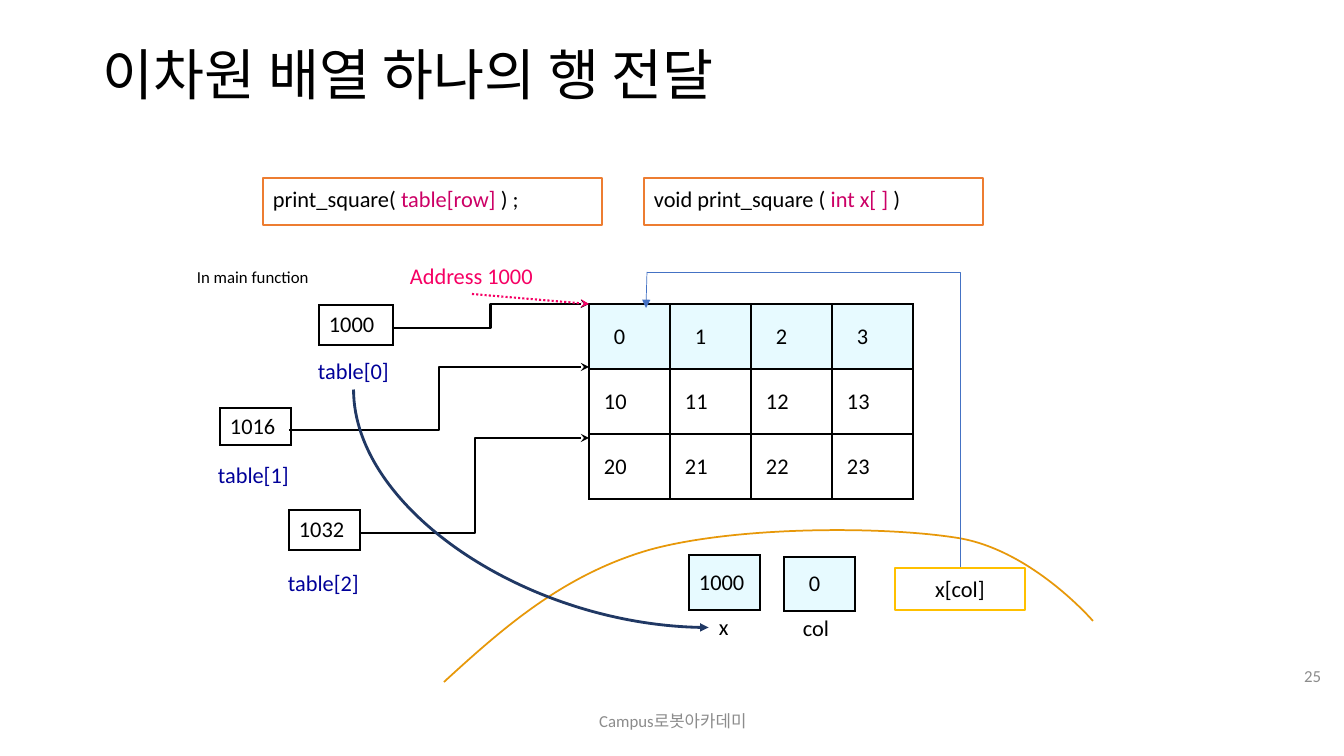
from lxml import etree
from pptx import Presentation
from pptx import util as u
from pptx.dml.color import RGBColor
from pptx.enum import dml, shapes, text
from pptx.oxml import parse_xml
from pptx.oxml.ns import nsdecls, qn

PX = 914400 / 100.8
FONT = "Calibri"
BLACK, WHITE, GREY, NAVY = "000000", "FFFFFF", "8C8C8C", "000099"
MAGENTA, PINK, PALE, BLUE = "CC0066", "F60064", "E7FAFF", "4472C4"
LEFT, CENTER, RIGHT = text.PP_ALIGN.LEFT, text.PP_ALIGN.CENTER, text.PP_ALIGN.RIGHT
TOP, MIDDLE = text.MSO_ANCHOR.TOP, text.MSO_ANCHOR.MIDDLE

# text, (left, top, width, height), size, colour, alignment, anchor, wrap
LABELS = [
    ("이차원 배열 하나의 행 전달", (93, 40, 1159, 76), 39.6, BLACK, LEFT, MIDDLE, True),
    ("Campus로봇아카데미", (446, 701, 454, 40), 12, GREY, CENTER, MIDDLE, True),
    ("25", (1269, 656, 62, 40), 12, GREY, RIGHT, MIDDLE, True),
    ("In main function", (187, 262, 193, 30), 12, BLACK, LEFT, TOP, True),
    ("Address 1000", (400, 257, 144, 37), 16, PINK, LEFT, TOP, False),
    ("table[0]", (308, 352, 91, 37), 16, NAVY, LEFT, TOP, False),
    ("table[1]", (208, 456, 91, 37), 16, NAVY, LEFT, TOP, False),
    ("table[2]", (278, 564, 91, 37), 16, NAVY, LEFT, TOP, False),
    ("x", (709, 608, 32, 37), 16, BLACK, LEFT, TOP, True),
    ("col", (793, 609, 46, 37), 16, BLACK, LEFT, TOP, False),
]
# runs, (left, top, width, height), outline, alignment, line spacing
CODE_BOXES = [
    ([("print_square( ", BLACK), ("table[row] ", MAGENTA), (") ;", BLACK)],
     (263, 178, 339, 47), "ED7D31", LEFT, 0.8),
    ([("void print_square ( ", BLACK), ("int x[ ] ", MAGENTA), (")", BLACK)],
     (644, 178, 339, 47), "ED7D31", LEFT, 0.8),
    ([("x[col]", BLACK)], (895, 568, 130, 42), "FFC000", CENTER, 1),
]
ARRAY_ROWS = [[0, 1, 2, 3], [10, 11, 12, 13], [20, 21, 22, 23]]
ARRAY_LEFT, ARRAY_TOP, CELL_WIDTH, CELL_HEIGHT = 589, 304, 81, 65
# value, (left, top, width, height), fill, left margin
MEMORY_CELLS = [
    (1000, (319, 305, 74, 40), None, 10),
    (1016, (220, 408, 71, 37), None, 10),
    (1032, (289, 510, 71, 40), None, 10),
    (1000, (689, 555, 71, 55), PALE, 10),
    (0, (784, 557, 71, 54), PALE, 25),
]
# preset, begin, end, rotation in degrees, colour, width, arrowhead
CONNECTORS = [
    ("bentConnector3", (392, 328), (589, 304), 0, BLACK, 1.5, "stealth"),
    ("bentConnector3", (289, 430), (589, 367), 0, BLACK, 1.5, "stealth"),
    ("bentConnector3", (361, 533), (589, 438), 0, BLACK, 1.5, "stealth"),
    ("line", (472, 294), (589, 304), 0, PINK, 1.5, "stealth"),
    ("curvedConnector2", (650, 331), (412, 686), 270, "203864", 2, "triangle"),
    ("bentConnector2", (656, 577), (951, 263), 270, BLUE, 0.5, None),
    ("line", (647, 272), (646, 308), 0, BLUE, 0.5, "triangle"),
]
ARC_START = (444, 682)
ARC_CURVES = [
    [(503, 628), (563, 575), (649, 550)],
    [(735, 526), (884, 526), (958, 538)],
    [(1032, 550), (1093, 621), (1093, 621)],
]


def px(*lengths):
    return [u.Emu(round(length * PX)) for length in lengths]


def color(value):
    return RGBColor.from_string(value)


def write(frame, runs, size, align=LEFT, anchor=MIDDLE, wrap=True, spacing=1):
    frame.word_wrap = wrap
    frame.vertical_anchor = anchor
    paragraph = frame.paragraphs[0]
    paragraph.alignment = align
    paragraph.line_spacing = spacing
    for words, shade in runs:
        run = paragraph.add_run()
        run.text = words
        run.font.size = u.Pt(size)
        run.font.name = FONT
        run.font.color.rgb = color(shade)


def draw_row(slide, values, box, fill, margin):
    """Draw a one-row table with a black border round every cell."""
    table = slide.shapes.add_table(1, len(values), *px(*box)).table
    table.first_row = table.horz_banding = False
    for column, value in enumerate(values):
        cell = table.cell(0, column)
        write(cell.text_frame, [(str(value), BLACK)], 16)
        cell.vertical_anchor = MIDDLE
        cell.margin_left, cell.margin_right = px(margin, 5)
        if fill:
            cell.fill.solid()
            cell.fill.fore_color.rgb = color(fill)
        else:
            cell.fill.background()
        for place, side in enumerate("LRTB"):
            border = parse_xml(
                f'<a:ln{side} {nsdecls("a")} w="12700"><a:solidFill>'
                f'<a:srgbClr val="{BLACK}"/></a:solidFill></a:ln{side}>')
            cell._tc.get_or_add_tcPr().insert(place, border)


def draw_arc(slide):
    points = [point for curve in ARC_CURVES for point in curve]
    builder = slide.shapes.build_freeform(*ARC_START, scale=PX)
    builder.add_line_segments(points, close=False)
    arc = builder.convert_to_shape()
    arc.shadow.inherit = False
    arc.fill.background()
    arc.line.color.rgb = color("E79809")
    arc.line.width = u.Pt(1.25)
    # Each three straight segments become one Bezier curve.
    outline = next(arc._element.iter(qn("a:path")))
    segments = outline.findall(qn("a:lnTo"))
    for first in range(0, len(segments), 3):
        curve = etree.SubElement(outline, qn("a:cubicBezTo"))
        for segment in segments[first:first + 3]:
            curve.append(segment[0])
            outline.remove(segment)


def draw_connector(slide, preset, begin, end, rotation, shade, width, head):
    connector = slide.shapes.add_connector(
        shapes.MSO_CONNECTOR.STRAIGHT, *px(*begin, *end))
    connector.line.color.rgb = color(shade)
    connector.line.width = u.Pt(width)
    if shade == PINK:
        connector.line.dash_style = dml.MSO_LINE.ROUND_DOT
    properties = connector._element.spPr
    properties.find(qn("a:prstGeom")).set("prst", preset)
    if rotation:
        properties.find(qn("a:xfrm")).set("rot", str(rotation * 60000))
    if head:
        etree.SubElement(properties.find(qn("a:ln")), qn("a:tailEnd"), type=head)
    etree.SubElement(properties, qn("a:effectLst"))


def main():
    deck = Presentation()
    deck.slide_width, deck.slide_height = px(1344, 756)
    slide = deck.slides.add_slide(deck.slide_layouts[6])

    for words, box, size, shade, align, anchor, wrap in LABELS:
        label = slide.shapes.add_textbox(*px(*box))
        spacing = 0.9 if size > 16 else 1
        write(label.text_frame, [(words, shade)], size, align, anchor, wrap, spacing)

    for index, values in enumerate(ARRAY_ROWS):
        box = (ARRAY_LEFT, ARRAY_TOP + index * CELL_HEIGHT,
               CELL_WIDTH * len(values), CELL_HEIGHT)
        draw_row(slide, values, box, None if index else PALE, 15 if index else 25)
    for value, box, fill, margin in MEMORY_CELLS:
        draw_row(slide, [value], box, fill, margin)

    draw_arc(slide)
    for runs, box, outline, align, spacing in CODE_BOXES:
        code = slide.shapes.add_shape(shapes.MSO_SHAPE.RECTANGLE, *px(*box))
        code.shadow.inherit = False
        code.fill.solid()
        code.fill.fore_color.rgb = color(WHITE)
        code.line.color.rgb = color(outline)
        code.line.width = u.Pt(1)
        write(code.text_frame, runs, 16, align, spacing=spacing)
    for connector in CONNECTORS:
        draw_connector(slide, *connector)

    deck.save("out.pptx")


if __name__ == "__main__":
    main()
